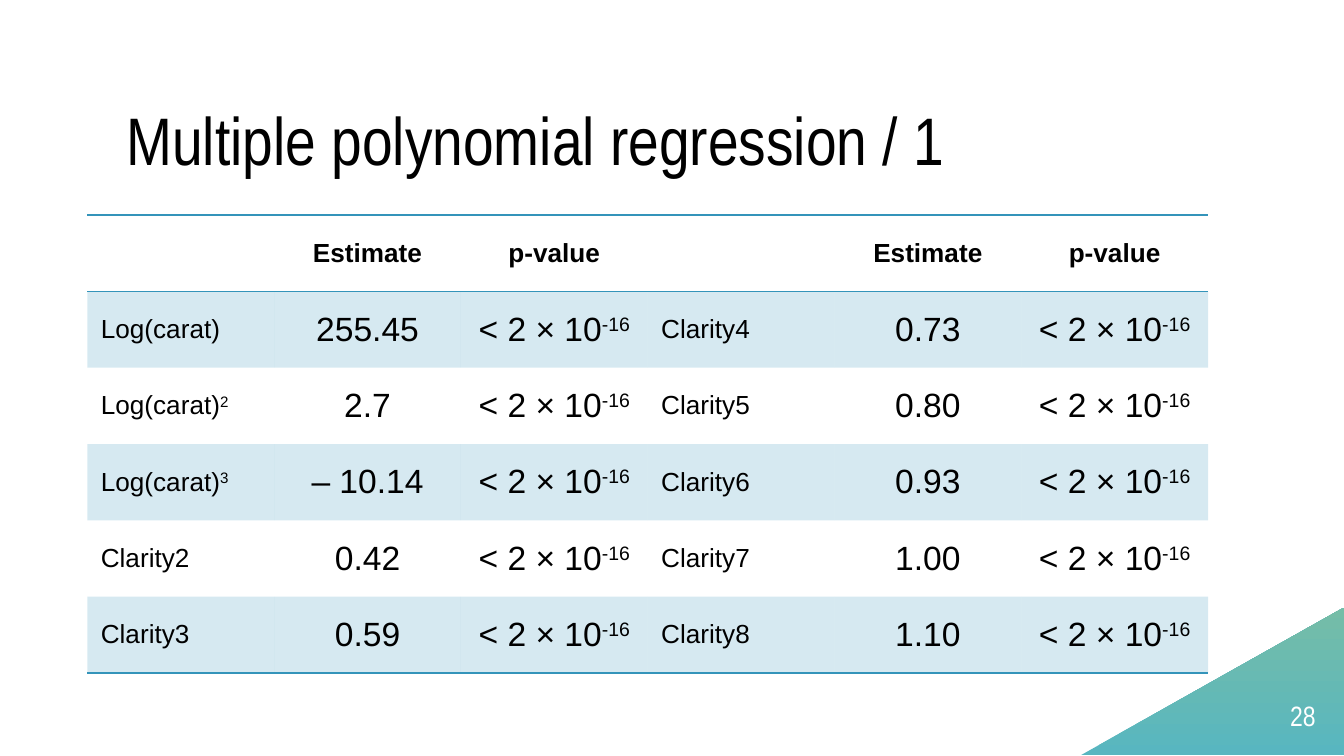
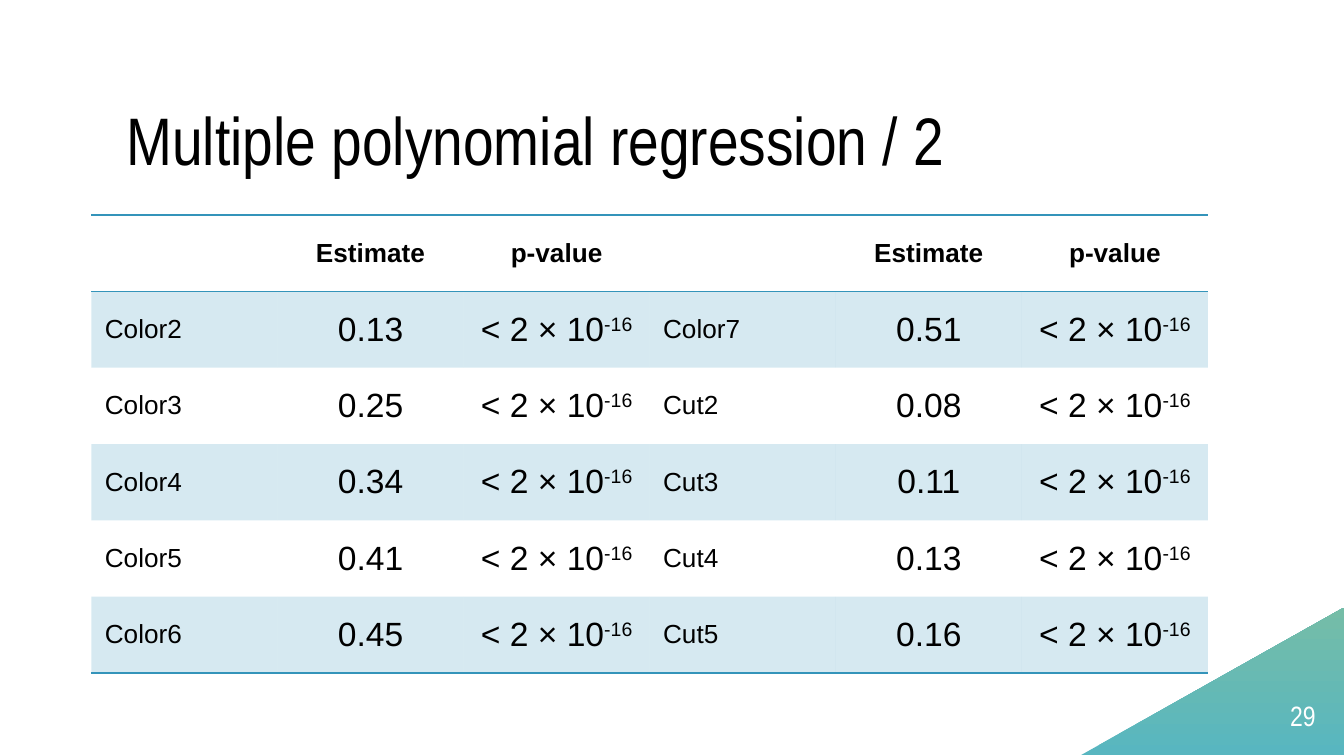
from lxml import etree
from pptx import Presentation
from pptx import util as u
from pptx.dml.color import RGBColor
from pptx.enum import shapes, text
from pptx.oxml.ns import qn

BLACK = RGBColor(0, 0, 0)
WHITE = RGBColor(255, 255, 255)
BLUE = RGBColor(0x34, 0x94, 0xBA)
TEAL = RGBColor(0x58, 0xB6, 0xC0)
GREEN = RGBColor(0x75, 0xBD, 0xA7)

BODY = "Arial"
HEAD = "Arial Narrow"
PLAIN = "{2D5ABB26-0587-4C30-8999-92F81FD0307C}"  # no style, no grid

WIDTH = u.Inches(10)
HEIGHT = WIDTH * 9 // 16
FIRST = 28

HEADER = ("", "Estimate", "p-value")
PVAL = "< 2 × 10^-16"
LEFT, MID, RIGHT = text.PP_ALIGN.LEFT, text.PP_ALIGN.CENTER, text.PP_ALIGN.RIGHT

# Each slide: table left and width in percent, then the terms of its two halves.
SLIDES = [
    (6.5, 83.4,
     [("Log(carat)", "255.45"), ("Log(carat)^2", "2.7"), ("Log(carat)^3", "– 10.14"),
      ("Clarity2", "0.42"), ("Clarity3", "0.59")],
     [("Clarity4", "0.73"), ("Clarity5", "0.80"), ("Clarity6", "0.93"),
      ("Clarity7", "1.00"), ("Clarity8", "1.10")]),
    (6.8, 83.1,
     [("Color2", "0.13"), ("Color3", "0.25"), ("Color4", "0.34"),
      ("Color5", "0.41"), ("Color6", "0.45")],
     [("Color7", "0.51"), ("Cut2", "0.08"), ("Cut3", "0.11"),
      ("Cut4", "0.13"), ("Cut5", "0.16")]),
]


def area(x, y, w, h):
    """Turn percentages of the slide into left, top, width, height."""
    return (int(WIDTH * x / 100), int(HEIGHT * y / 100),
            int(WIDTH * w / 100), int(HEIGHT * h / 100))


def write(frame, words, size=14, font=BODY, color=BLACK, bold=False,
          align=LEFT, lead=None):
    """Fill the first paragraph; what follows a ^ is superscript."""
    para = frame.paragraphs[0]
    para.alignment = align
    if lead:
        para.line_spacing = lead
    for i, part in enumerate(words.split("^")):
        run = para.add_run()
        run.text = part
        run.font.size = u.Pt(size)
        run.font.name = font
        run.font.bold = bold
        run.font.color.rgb = color
        if i:
            run.font._element.set("baseline", "30000")


def setup(frame, anchor):
    frame.margin_left = frame.margin_right = 0
    frame.margin_top = frame.margin_bottom = 0
    frame.word_wrap = True
    frame.auto_size = text.MSO_AUTO_SIZE.NONE
    frame.vertical_anchor = anchor


def title(slide, words):
    shape = slide.shapes.title
    shape.left, shape.top, shape.width, shape.height = area(9.4, 16.18, 81.4, 7.64)
    setup(shape.text_frame, text.MSO_ANCHOR.BOTTOM)
    write(shape.text_frame, words, size=36, font=HEAD, lead=0.9)


def number(slide, page):
    frame = slide.shapes.add_textbox(*area(91.9, 90.84, 6, 7.64)).text_frame
    setup(frame, text.MSO_ANCHOR.MIDDLE)
    write(frame, str(page), size=15, font=HEAD, color=WHITE, align=RIGHT)


def corner(slide):
    """Draw the corner triangle and move it to the layout, for every slide."""
    shape = slide.shapes.add_shape(
        shapes.MSO_SHAPE.RIGHT_TRIANGLE, *area(84.7, 72.72, 11, 34.84))
    shape.rotation = 270
    shape.shadow.inherit = False
    shape.line.fill.background()
    shape.fill.gradient()
    shape.fill.gradient_angle = 0
    for stop, color in zip(shape.fill.gradient_stops, (TEAL, GREEN)):
        stop.color.rgb = color
    slide.slide_layout.shapes.element.append(shape.element)


def rule(cell, sides):
    """Add blue lines at the given sides, T before B."""
    props = cell._tc.get_or_add_tcPr()
    for i, side in enumerate(sides):
        line = etree.Element(qn("a:ln" + side), w=str(u.Pt(1)))
        fill = etree.SubElement(line, qn("a:solidFill"))
        etree.SubElement(fill, qn("a:srgbClr"), val=str(BLUE))
        props.insert(i, line)


def tint(cell):
    cell.fill.solid()
    cell.fill.fore_color.rgb = BLUE
    color = cell._tc.tcPr.find(".//" + qn("a:srgbClr"))
    etree.SubElement(color, qn("a:alpha"), val="20000")


def table(slide, left, width, rows):
    grid = slide.shapes.add_table(
        len(rows), len(rows[0]), *area(left, 28.44, width, 60.62)).table
    grid.horz_banding = False
    grid._tbl.tblPr.find(qn("a:tableStyleId")).text = PLAIN
    for r, row in enumerate(rows):
        for c, words in enumerate(row):
            cell = grid.cell(r, c)
            cell.vertical_anchor = text.MSO_ANCHOR.MIDDLE
            name = c % len(HEADER) == 0
            if words:
                write(cell.text_frame, words, size=14 if name or r == 0 else 18,
                      bold=r == 0, align=LEFT if name else MID)
            if r % 2:
                tint(cell)
            else:
                cell.fill.background()
            if r == 0:
                rule(cell, "TB")
            elif r == len(rows) - 1:
                rule(cell, "B")


def main():
    prs = Presentation()
    prs.slide_width, prs.slide_height = WIDTH, HEIGHT
    layout = prs.slide_layouts[5]
    for i, (left, width, first, second) in enumerate(SLIDES):
        slide = prs.slides.add_slide(layout)
        if i == 0:
            corner(slide)
        title(slide, f"Multiple polynomial regression / {i + 1}")
        number(slide, FIRST + i)
        rows = [HEADER * 2]
        rows += [(*a, PVAL, *b, PVAL) for a, b in zip(first, second)]
        table(slide, left, width, rows)
    prs.save("out.pptx")


if __name__ == "__main__":
    main()
